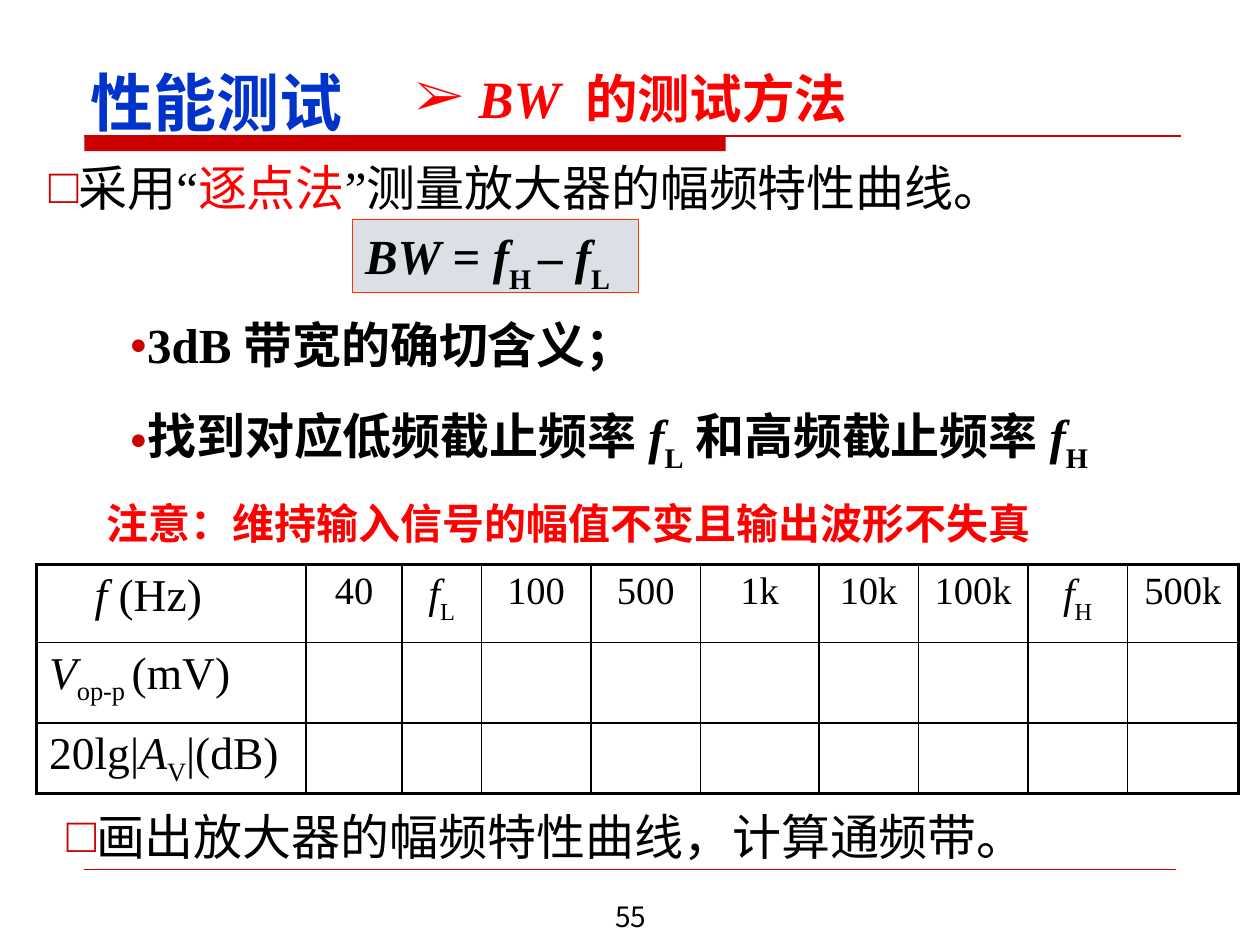
from lxml.etree import SubElement as Sub
from pptx import Presentation
from pptx.dml.color import RGBColor as Rgb
from pptx.enum.shapes import MSO_CONNECTOR as Conn, MSO_SHAPE as Shape
from pptx.enum.text import MSO_ANCHOR as Anchor, PP_ALIGN as Align
from pptx.oxml.ns import qn
from pptx.util import Inches, Pt

HEX = {"red": "CC0000", "hot": "FF0000", "blue": "0033CC", "ink": "000000",
       "pale": "DAE0E6", "edge": "FF3300"}
SANS, SERIF = "Noto Sans CJK SC", "Times New Roman"

IT = {"italic": True}
UP = {"italic": False}
LOW = {"base": -30}
DIP = {"base": -25}
NOTE = {"size": 28, "name": SANS}
BOLD = {"size": 28, "name": SERIF, "bold": True}
BOX = {"char": "□", "tint": "red"}
DOT = {"char": "●", "tint": "red", "pct": 60, "first": 0.63}

TEXTS = [
    {"at": (3.42, 7.09, 3.17, 0.36), "font": {"size": 16, "name": SANS},
     "align": Align.CENTER, "paras": [[("55", {})]]},
    {"at": (3.2, 0.44, 5.6, 0.63), "anchor": Anchor.BOTTOM,
     "font": {"size": 30, "name": SERIF, "bold": True, "color": "hot"},
     "bullet": {"char": "➢", "left": 0.5, "first": -0.5},
     "paras": [[("BW ", IT), ("的测试方法", {"name": SANS})]]},
    {"at": (0.29, 1.2, 8.51, 0.63), "font": NOTE, "bullet": BOX,
     "paras": [[("采用", {}), ("“", {"name": SERIF}), ("逐点法", {"color": "hot"}),
                ("”", {"name": SERIF}), ("测量放大器的幅频特性曲线。", {})]]},
    {"at": (0.75, 3.9, 9.45, 0.51),
     "font": {"size": 24, "name": SANS, "bold": True, "color": "hot"},
     "paras": [[("注意：维持输入信号的幅值不变且输出波形不失真", {})]]},
    {"at": (2.8, 1.74, 2.27, 0.58), "font": BOLD, "fill": "pale", "line": "edge",
     "paras": [[("BW ", IT), ("= ", UP), ("f", IT), ("H ", LOW), ("– ", UP),
                ("f", IT), ("L", LOW)]]},
    {"at": (0.43, 6.35, 8.51, 0.63), "font": NOTE, "bullet": BOX,
     "paras": [[("画出放大器的幅频特性曲线，计算通频带。", {})]]},
    {"at": (0.3, 2.45, 9.07, 1.3), "font": BOLD, "bullet": DOT, "gap": 18,
     "paras": [[("3dB带宽的确切含义；", {})],
               [("找到对应低频截止频率", {}), ("f", IT), ("L", LOW),
                ("和高频截止频率", {}), ("f", IT), ("H", LOW)]]},
    {"at": (0.62, 0.44, 7.25, 0.71), "anchor": Anchor.BOTTOM,
     "font": {"size": 36, "name": SANS, "bold": True, "color": "blue"},
     "paras": [[("性能测试", {})]]},
]

COLS = [2.14, 0.76, 0.63, 0.87, 0.87, 0.94, 0.79, 0.87, 0.79, 0.88]
ROWS = [0.62, 0.64, 0.55]
FREQS = ["40", "fL", "100", "500", "1k", "10k", "100k", "fH", "500k"]
HEADS = [
    [("f ", IT), ("(Hz)", {})],
    [("V", IT), ("op-p ", DIP), ("(mV)", {})],
    [("20lg|", {}), ("A", IT), ("V", DIP), ("|(dB)", {})],
]


def color(key):
    return Rgb.from_string(HEX[key])


def write(para, runs, base):
    for text, more in runs:
        run = para.add_run()
        run.text = text
        look = {"color": "ink", **base, **more}
        look["size"] = Pt(look["size"])
        shift = look.pop("base", None)
        run.font.color.rgb = color(look.pop("color"))
        for key, val in look.items():
            setattr(run.font, key, val)
        props = run.font._element
        east = SERIF if text in "“”" else SANS
        Sub(props, qn("a:ea"), typeface=east)
        if shift:
            props.set("baseline", str(shift * 1000))


def mark(para, char, tint=None, pct=100, left=0, first=0):
    props = para._p.get_or_add_pPr()
    props.set("marL", str(Inches(left)))
    props.set("indent", str(Inches(first)))
    if tint:
        Sub(Sub(props, qn("a:buClr")), qn("a:srgbClr"), val=HEX[tint])
    Sub(props, qn("a:buSzPct"), val=str(pct * 1000))
    Sub(props, qn("a:buFont"), typeface=SERIF)
    Sub(props, qn("a:buChar"), char=char)


def draw_text(item):
    at = map(Inches, item["at"])
    if "fill" in item:
        box = shapes.add_shape(Shape.RECTANGLE, *at)
        paint(box, item["fill"], item["line"])
    else:
        box = shapes.add_textbox(*at)
    frame = box.text_frame
    frame.word_wrap = True
    frame.vertical_anchor = item.get("anchor", Anchor.TOP)
    for n, runs in enumerate(item["paras"]):
        para = frame.add_paragraph() if n else frame.paragraphs[0]
        if "bullet" in item:
            mark(para, **item["bullet"])
        para.alignment = item.get("align", Align.LEFT)
        if n:
            para.space_before = Pt(item["gap"])
        write(para, runs, item["font"])


def paint(box, fill, line=None):
    box.shadow.inherit = False
    box.fill.solid()
    box.fill.fore_color.rgb = color(fill)
    if line:
        box.line.color.rgb = color(line)
        box.line.width = Pt(0.75)
    else:
        box.line.fill.background()


def rule(left, right, top, width):
    line = shapes.add_connector(Conn.STRAIGHT, *map(Inches, (left, top, right, top)))
    line.line.color.rgb = color("red")
    line.line.width = Pt(width)
    Sub(line._element.spPr, qn("a:effectLst"))


def border(cell, row, col):
    outer = {"L": col == 0, "R": col == len(COLS) - 1,
             "T": row == 0, "B": row == len(ROWS) - 1}
    props = cell._tc.get_or_add_tcPr()
    for side, edge in outer.items():
        line = Sub(props, qn("a:ln" + side), w=str(Pt(2.25 if edge else 1)))
        Sub(Sub(line, qn("a:solidFill")), qn("a:srgbClr"), val=HEX["ink"])
    cell.fill.background()


def draw_table():
    at = map(Inches, (0.29, 4.48, sum(COLS), sum(ROWS)))
    table = shapes.add_table(len(ROWS), len(COLS), *at).table
    table.first_row = table.horz_banding = False
    for col, wide in zip(table.columns, COLS):
        col.width = Inches(wide)
    for r, high in enumerate(ROWS):
        table.rows[r].height = Inches(high)
        for c in range(len(COLS)):
            cell = table.cell(r, c)
            border(cell, r, c)
            para = cell.text_frame.paragraphs[0]
            if c == 0:
                write(para, HEADS[r], {"size": 26, "name": SERIF})
            elif r == 0:
                para.alignment = Align.CENTER
                text = FREQS[c - 1]
                sub = text[0] == "f"
                runs = [("f", IT), (text[1:], LOW)] if sub else [(text, {})]
                write(para, runs, {"size": 24 if sub else 22, "name": SERIF})
    table.cell(0, 0).margin_left = Inches(0.46)


deck = Presentation()
deck.slide_width, deck.slide_height = Inches(10), Inches(7.5)
shapes = deck.slides.add_slide(deck.slide_layouts[6]).shapes
paint(shapes.add_shape(Shape.RECTANGLE, *map(Inches, (0.67, 1.08, 5.09, 0.12))), "red")
rule(0.67, 9.37, 1.08, 0.75)
rule(0.67, 9.33, 6.9, 0.25)
draw_table()
for item in TEXTS:
    draw_text(item)
deck.save("out.pptx")
